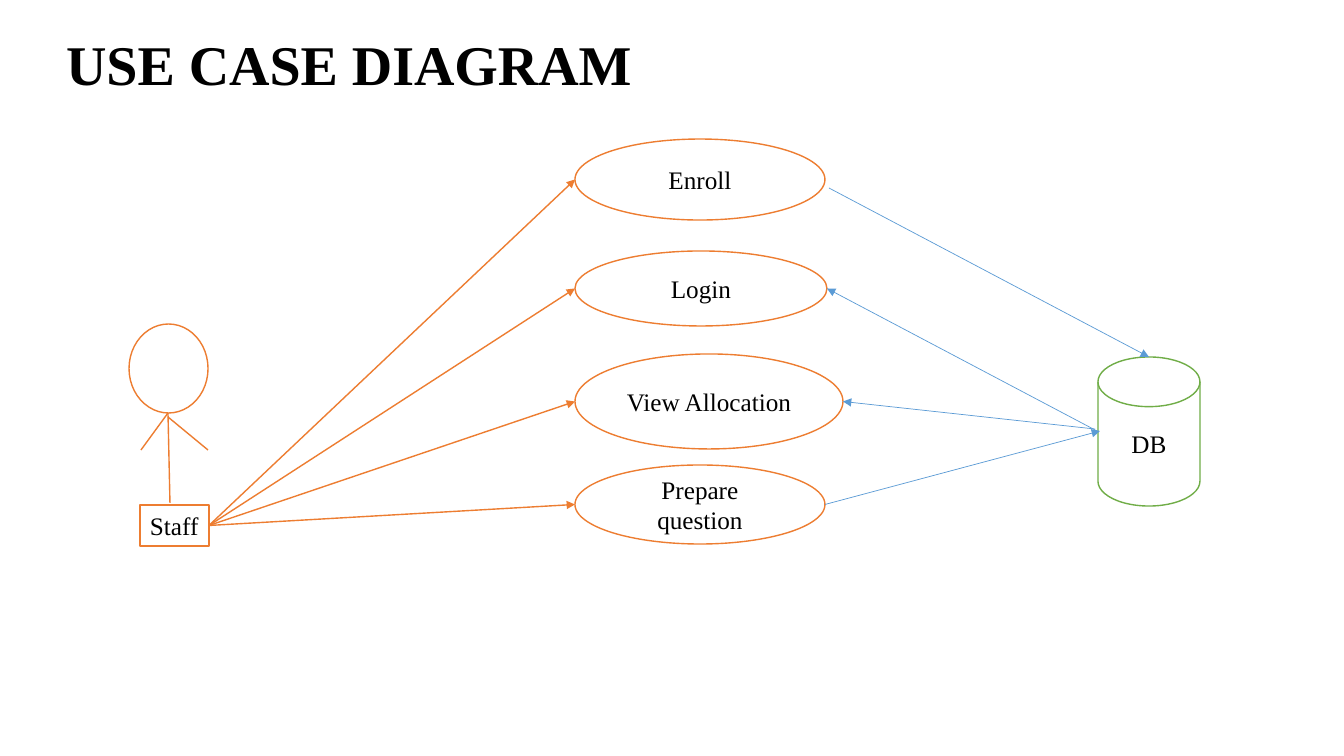
from pptx import Presentation, util as u
from pptx.dml.color import RGBColor
from pptx.enum import shapes, text
from pptx.oxml.ns import qn
from lxml import etree

TITLE = "USE CASE DIAGRAM"
TITLE_BOX = (56, 17, 1142, 101)
USE_CASES = {
    "Enroll": (575, 139, 250, 81),
    "Login": (575, 251, 252, 75),
    "View Allocation": (575, 354, 268, 95),
    "Prepare question": (575, 465, 250, 79),
}
HEAD = (129, 324, 79, 89)
LIMBS = [
    ((168, 413), (170, 503)),
    ((168, 413), (141, 450)),
    ((168, 417), (208, 450)),
]
STAFF = (140, 505, 69, 41)
DATABASE = (1098, 357, 102, 149)

THEME = {
    "font": "Times New Roman",
    "title_size": 40,
    "label_size": 18,
    "ink": "000000",
    "paper": "FFFFFF",
    "actor": "ED7D31",
    "database": "70AD47",
    "data_flow": "5B9BD5",
    "outline": 1,
    "thin": 0.5,
}


def px(value):
    return u.Emu(round(value * 914400 / 100.8))


def color(name):
    return RGBColor.from_string(THEME[name])


def left_point(box):
    return box[0], box[1] + box[3] / 2


def right_point(box):
    return box[0] + box[2], box[1] + box[3] / 2


def style_text(frame, content, size, align, bold=False):
    frame.text = content
    paragraph = frame.paragraphs[0]
    paragraph.alignment = align
    font = paragraph.runs[0].font
    font.name, font.size, font.bold = THEME["font"], u.Pt(THEME[size]), bold
    font.color.rgb = color("ink")
    return paragraph


def add_node(kind, box, line_color, label=None, align=text.PP_ALIGN.CENTER):
    shape = slide.shapes.add_shape(kind, *map(px, box))
    shape.shadow.inherit = False
    shape.fill.solid()
    shape.fill.fore_color.rgb = color("paper")
    shape.line.color.rgb = color(line_color)
    shape.line.width = u.Pt(THEME["outline"])
    if label:
        shape.text_frame.vertical_anchor = text.MSO_ANCHOR.MIDDLE
        style_text(shape.text_frame, label, "label_size", align)
    return shape


def add_line(start, end, line_color, width, arrow=True):
    connector = slide.shapes.add_connector(
        shapes.MSO_CONNECTOR.STRAIGHT, *map(px, (*start, *end)))
    connector.line.color.rgb = color(line_color)
    connector.line.width = u.Pt(THEME[width])
    properties = connector._element.spPr
    if arrow:
        etree.SubElement(properties.find(qn("a:ln")), qn("a:tailEnd"), type="triangle")
    etree.SubElement(properties, qn("a:effectLst"))


presentation = Presentation()
presentation.slide_width, presentation.slide_height = px(1344), px(756)
slide = presentation.slides.add_slide(presentation.slide_layouts[5])

title = slide.shapes.title
title.left, title.top, title.width, title.height = map(px, TITLE_BOX)
title.text_frame.vertical_anchor = text.MSO_ANCHOR.MIDDLE
heading = style_text(title.text_frame, TITLE, "title_size", text.PP_ALIGN.LEFT, bold=True)
heading.line_spacing = 0.9

OVAL = shapes.MSO_SHAPE.OVAL
add_node(OVAL, HEAD, "actor")
for start, end in LIMBS:
    add_line(start, end, "actor", "outline", arrow=False)
for label, box in USE_CASES.items():
    add_node(OVAL, box, "actor", label)
    add_line(right_point(STAFF), left_point(box), "actor", "outline")
staff = add_node(shapes.MSO_SHAPE.RECTANGLE, STAFF, "actor", "Staff", text.PP_ALIGN.LEFT)
staff.text_frame.word_wrap = False
add_node(shapes.MSO_SHAPE.FLOWCHART_MAGNETIC_DISK, DATABASE, "database", "DB")

database_left = left_point(DATABASE)
database_top = DATABASE[0] + DATABASE[2] / 2, DATABASE[1]
data_flows = [
    ((829, 188), database_top),
    (database_left, right_point(USE_CASES["Login"])),
    ((1095, 429), right_point(USE_CASES["View Allocation"])),
    (right_point(USE_CASES["Prepare question"]), (1100, 431)),
]
for start, end in data_flows:
    add_line(start, end, "data_flow", "thin")

presentation.save("out.pptx")
